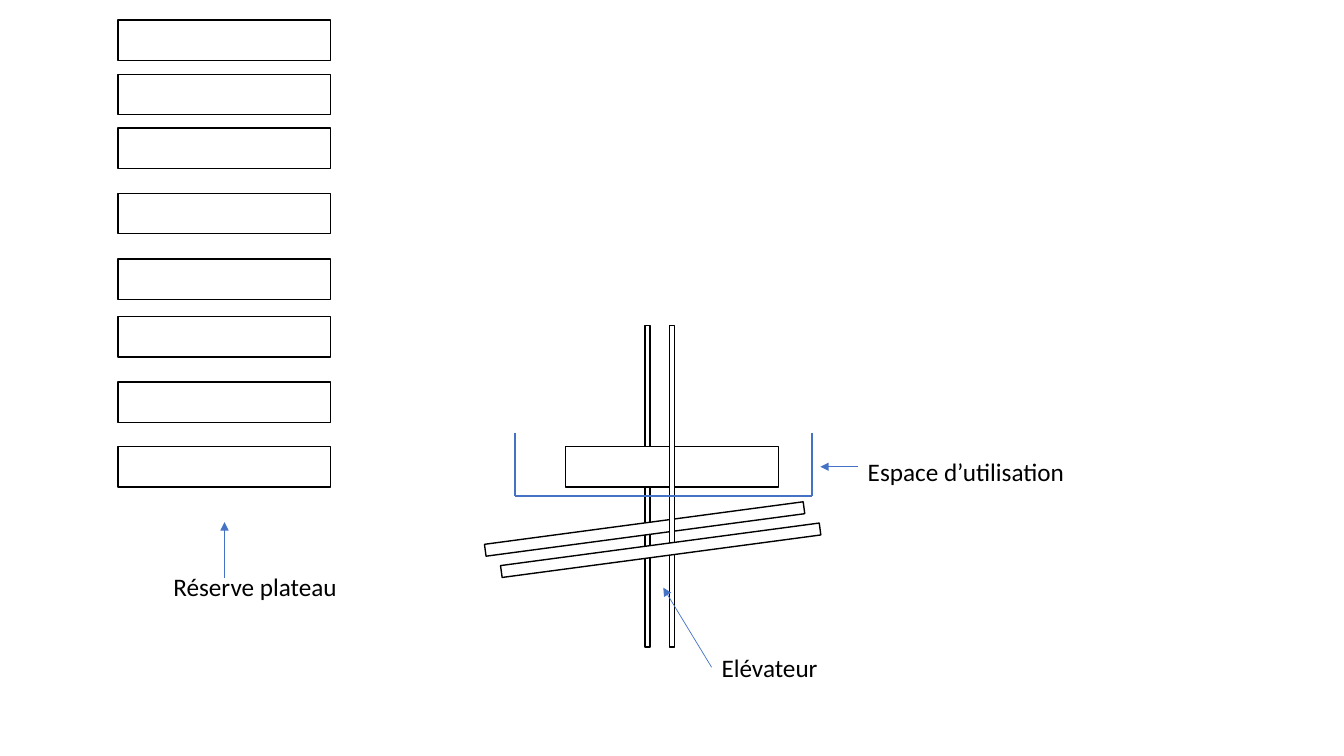
from dataclasses import dataclass

from lxml.etree import SubElement
from pptx import Presentation
from pptx.dml.color import RGBColor
from pptx.enum.shapes import MSO_CONNECTOR as Connector, MSO_SHAPE as Preset
from pptx.enum.text import MSO_AUTO_SIZE as AutoSize
from pptx.oxml.ns import qn
from pptx.util import Pt


@dataclass(frozen=True)
class Theme:
    """Colours, type and line widths of the slide."""
    ink: RGBColor = RGBColor(0x00, 0x00, 0x00)
    paper: RGBColor = RGBColor(0xFF, 0xFF, 0xFF)
    accent: RGBColor = RGBColor(0x44, 0x72, 0xC4)
    font: str = "Calibri"
    label_size: float = 18
    outline: float = 1
    frame: float = 1.5
    arrow: float = 0.5


THEME = Theme()

TRAY_WIDTH, TRAY_HEIGHT = 152, 28.8
RESERVE_LEFT = 84.2
RESERVE_TOPS = (14.4, 53.2, 91.6, 138.2, 185, 226.2, 273, 319)
LIFTED_TRAY_LEFT = 404

BEAM_LENGTH = 229.7
RAIL_THICKNESS, RAIL_TOP = 3.6, 345.6
BACK_RAIL_LEFT, FRONT_RAIL_LEFT = 347.6, 365.2
ARM_THICKNESS, ARM_TILT = 8.6, 352.4
BACK_ARM, FRONT_ARM = (345.6, 373.6), (357.1, 388.8)

SPACE_LEFT, SPACE_RIGHT = 368, 579.8
SPACE_TOP, SPACE_BOTTOM = 309.6, 354.2


def add_box(slide, left, top, width, height, rotation=0):
    """Add a white rectangle with a thin black outline."""
    shape = slide.shapes.add_shape(
        Preset.RECTANGLE, Pt(left), Pt(top), Pt(width), Pt(height))
    shape.rotation = rotation
    shape.shadow.inherit = False
    shape.fill.solid()
    shape.fill.fore_color.rgb = THEME.paper
    shape.line.color.rgb = THEME.ink
    shape.line.width = Pt(THEME.outline)


def add_tray(slide, left, top):
    """Add one tray."""
    add_box(slide, left, top, TRAY_WIDTH, TRAY_HEIGHT)


def add_rail(slide, left):
    """Add one upright rail of the lift."""
    add_box(slide, left, RAIL_TOP, BEAM_LENGTH, RAIL_THICKNESS, 270)


def add_arm(slide, left, top):
    """Add one tilted arm of the lift."""
    add_box(slide, left, top, BEAM_LENGTH, ARM_THICKNESS, ARM_TILT)


def add_line(shapes, start, end, width):
    """Add a straight accent line without shadow and return it."""
    line = shapes.add_connector(
        Connector.STRAIGHT, *(Pt(value) for value in (*start, *end)))
    line.line.color.rgb = THEME.accent
    line.line.width = Pt(width)
    SubElement(line._element.spPr, qn("a:effectLst"))
    return line


def add_arrow(slide, start, end):
    """Add a thin line with a triangular head at its end."""
    arrow = add_line(slide.shapes, start, end, THEME.arrow)
    SubElement(arrow.line._get_or_add_ln(), qn("a:tailEnd"), type="triangle")


def add_use_space(slide):
    """Add the open frame around the lifted tray as one group."""
    group = slide.shapes.add_group_shape()
    left_corner = (SPACE_LEFT, SPACE_BOTTOM)
    right_corner = (SPACE_RIGHT, SPACE_BOTTOM)
    for start, end in (
        (left_corner, right_corner),
        (right_corner, (SPACE_RIGHT, SPACE_TOP)),
        (left_corner, (SPACE_LEFT, SPACE_TOP)),
    ):
        add_line(group.shapes, start, end, THEME.frame)


def add_label(slide, text, left, top, width, height=28.8):
    """Add a one-line label that does not wrap."""
    label = slide.shapes.add_textbox(Pt(left), Pt(top), Pt(width), Pt(height))
    frame = label.text_frame
    frame.word_wrap = False
    frame.auto_size = AutoSize.SHAPE_TO_FIT_TEXT
    paragraph = frame.paragraphs[0]
    paragraph.text = text
    paragraph.font.name = THEME.font
    paragraph.font.size = Pt(THEME.label_size)
    paragraph.font.color.rgb = THEME.ink


def main():
    """Build the slide from back to front and save it."""
    presentation = Presentation()
    presentation.slide_width, presentation.slide_height = Pt(960), Pt(540)
    slide = presentation.slides.add_slide(presentation.slide_layouts[6])

    add_rail(slide, BACK_RAIL_LEFT)
    for top in RESERVE_TOPS:
        add_tray(slide, RESERVE_LEFT, top)
    add_tray(slide, LIFTED_TRAY_LEFT, RESERVE_TOPS[-1])
    add_arm(slide, *BACK_ARM)
    add_rail(slide, FRONT_RAIL_LEFT)
    add_arm(slide, *FRONT_ARM)

    add_label(slide, "Elévateur", 508.3, 462.2, 83.5)
    add_label(slide, "Réserve plateau", 116.8, 404.6, 132.5)
    add_label(slide, "Espace d’utilisation", 612.7, 322.6, 157, 51)

    add_use_space(slide)
    add_arrow(slide, (612.7, 333.4), (586, 333.4))
    add_arrow(slide, (508.3, 476.6), (473.8, 419.8))
    add_arrow(slide, (160.4, 412.6), (160.4, 373))

    presentation.save("out.pptx")


main()
